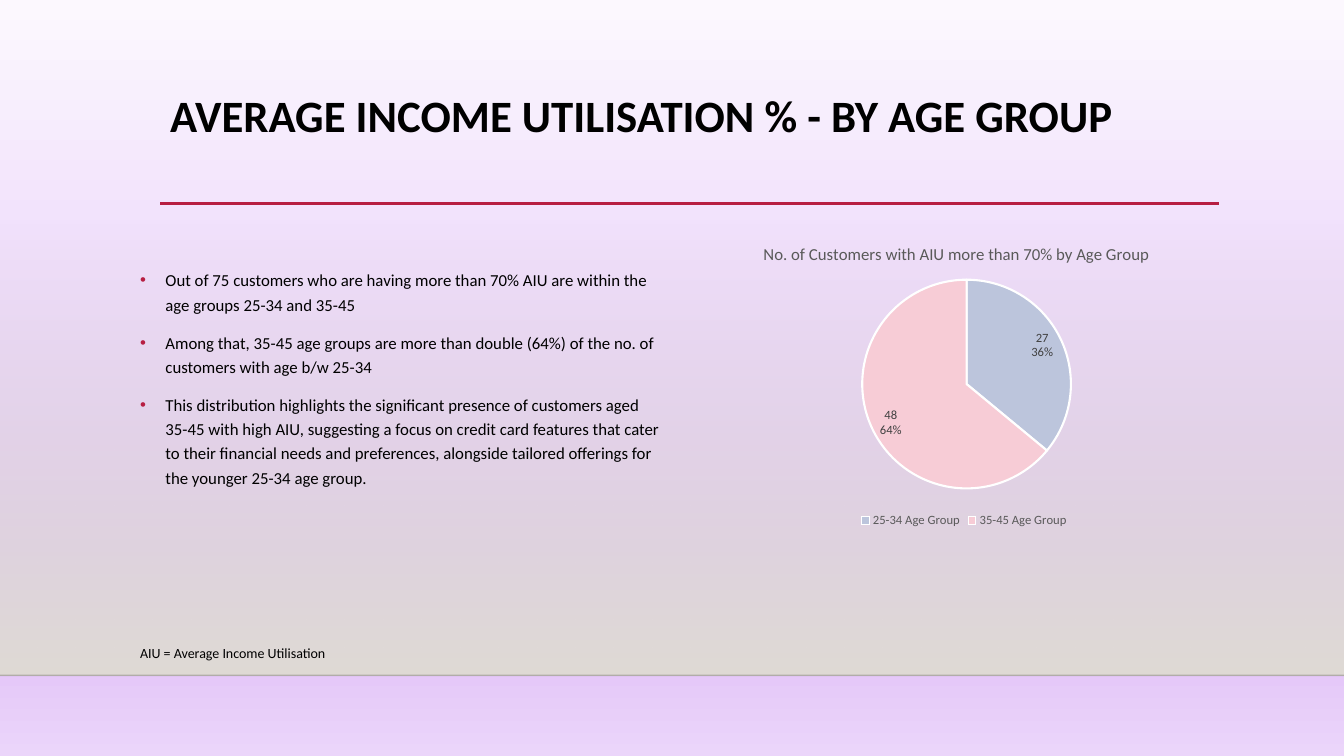
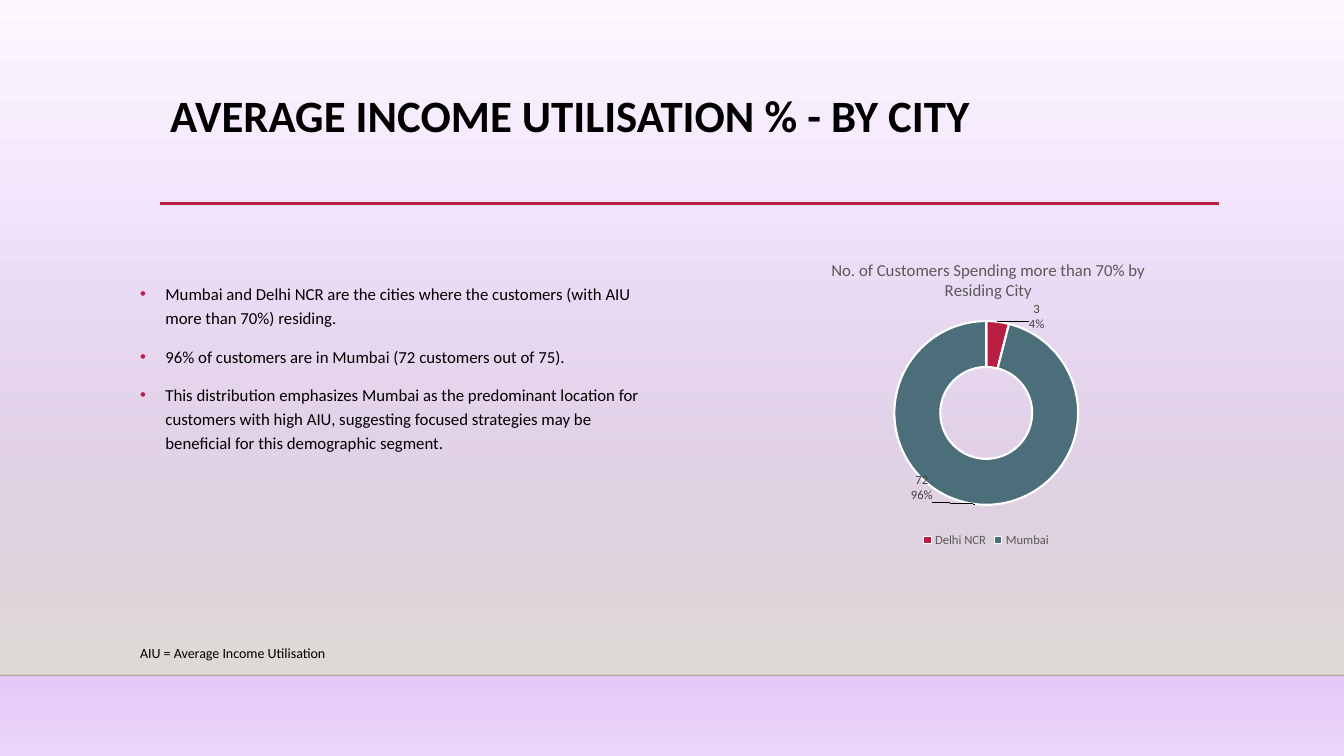
from copy import deepcopy

from lxml.etree import SubElement
from pptx import Presentation
from pptx.chart.data import CategoryChartData
from pptx.dml.color import RGBColor
from pptx.enum.chart import XL_CHART_TYPE, XL_LABEL_POSITION, XL_LEGEND_POSITION
from pptx.enum.shapes import MSO_CONNECTOR, MSO_SHAPE
from pptx.oxml import parse_xml
from pptx.oxml.ns import nsdecls, qn
from pptx.util import Cm, Pt

FONT = "Calibri"
BLACK, WHITE = "000000", "FFFFFF"
ACCENT, SAND = "B71E42", "DFDBD5"
TITLE_GREY, LABEL_GREY = "595959", "404040"
SKY = [(0, "FCF8FE", 100), (74, "E1C0F8", 100), (83, "E1C0F8", 100), (100, "EBD5FA", 100)]
HAZE = [(0, SAND, 0), (100, SAND, 100)]
WIDTH, HEIGHT, FLOOR = 33.87, 19.05, 17.02
LEFT, RIGHT, TEXT_LEFT = 4.04, 30.73, 3.28


def color(value):
    return RGBColor.from_string(value)


def set_alpha(parent, percent):
    SubElement(next(parent.iter(qn("a:srgbClr"))), qn("a:alpha")).set("val", str(percent * 1000))


def set_gradient(fill, element, stops):
    fill.gradient()
    fill.gradient_angle = 270
    stop_list = next(element.iter(qn("a:gsLst")))
    for old_stop in list(stop_list):
        stop_list.remove(old_stop)
    for position, value, alpha in stops:
        stop = SubElement(stop_list, qn("a:gs"), pos=str(position * 1000))
        SubElement(stop, qn("a:srgbClr"), val=value)
        set_alpha(stop, alpha)


def set_font(font, size, value, bold=False):
    font.name, font.size, font.bold = FONT, Pt(size), bold
    font.color.rgb = color(value)


def set_layout(parent, index, **values):
    old_layout = parent.find(qn("c:layout"))
    if old_layout is not None:
        parent.remove(old_layout)
    layout = parse_xml(f"<c:layout {nsdecls('c')}><c:manualLayout/></c:layout>")
    for name, value in values.items():
        SubElement(layout[0], qn(f"c:{name}"), val=str(value))
    parent.insert(index, layout)


class Deck:
    """Hold the shared style and the slide being filled."""

    def __init__(self):
        self.presentation = Presentation()
        self.presentation.slide_width = Cm(WIDTH)
        self.presentation.slide_height = Cm(HEIGHT)
        self.slide = None

    def add_slide(self, title):
        self.slide = self.presentation.slides.add_slide(self.presentation.slide_layouts[6])
        set_gradient(self.slide.background.fill, self.slide.element, SKY)
        band = self.slide.shapes.add_shape(
            MSO_SHAPE.RECTANGLE, 0, Cm(5.61), Cm(WIDTH), Cm(FLOOR - 5.61))
        band.shadow.inherit = False
        band.line.fill.background()
        set_gradient(band.fill, band.element, HAZE)
        floor = self.add_line(0, WIDTH, FLOOR, "000001", 1)
        set_alpha(floor.element.spPr, 20)
        self.add_line(LEFT, RIGHT, 5.13, ACCENT, 2.5)
        self.add_text([title], LEFT, 2.24, 26.67, 2.92, 32, 0.9, 0, bold=True)
        self.add_text(["AIU = Average Income Utilisation"], TEXT_LEFT, 16.08, 6.4, 0.71, 10, 1.1, 10)

    def add_line(self, left, right, top, value, width):
        line = self.slide.shapes.add_connector(
            MSO_CONNECTOR.STRAIGHT, Cm(left), Cm(top), Cm(right), Cm(top))
        line.line.color.rgb = color(value)
        line.line.width = Pt(width)
        SubElement(line.element.spPr, qn("a:effectLst"))
        return line

    def add_text(self, texts, left, top, width, height, size, spacing, before, bold=False):
        shape = self.slide.shapes.add_textbox(Cm(left), Cm(top), Cm(width), Cm(height))
        frame = shape.text_frame
        frame.word_wrap = True
        frame.text = "\n".join(texts)
        for paragraph in frame.paragraphs:
            paragraph.line_spacing = spacing
            paragraph.space_before = Pt(before)
            set_font(paragraph.font, size, BLACK, bold)
        return frame

    def add_bullets(self, texts, top, height):
        frame = self.add_text(texts, TEXT_LEFT, top, 13.64, height, 12, 1.2, 10)
        for paragraph in frame.paragraphs:
            properties = paragraph.font._element.getparent()
            properties.set("marL", str(Cm(0.64)))
            properties.set("indent", str(Cm(-0.64)))
            bullet_parts = parse_xml(
                f'<a:pPr {nsdecls("a")}><a:buClr><a:srgbClr val="{ACCENT}"/></a:buClr>'
                '<a:buFont typeface="Arial"/><a:buChar char="•"/></a:pPr>')
            for part in list(bullet_parts):
                paragraph.font._element.addprevious(part)

    def add_chart(self, kind, title, values, fills, box, title_at, plot_box):
        data = CategoryChartData()
        data.categories = list(values)
        data.add_series("Series 1", list(values.values()))
        chart = self.slide.shapes.add_chart(kind, *map(Cm, box), data).chart
        set_font(chart.font, 10, BLACK)
        chart.has_title = True
        chart.chart_title.text_frame.text = title
        set_font(chart.chart_title.text_frame.paragraphs[0].font, 12, TITLE_GREY)
        title_x, title_y = title_at
        set_layout(chart.chart_title._element, 1, xMode="edge", yMode="edge", x=title_x, y=title_y)
        plot_x, plot_y, plot_width, plot_height = plot_box
        set_layout(next(chart.element.iter(qn("c:plotArea"))), 0, layoutTarget="inner",
                   xMode="edge", yMode="edge", x=plot_x, y=plot_y, w=plot_width, h=plot_height)
        chart.has_legend = True
        chart.legend.position = XL_LEGEND_POSITION.BOTTOM
        chart.legend.include_in_layout = False
        set_font(chart.legend.font, 9, TITLE_GREY)
        chart.plots[0].vary_by_categories = True
        series = chart.plots[0].series[0]
        for index, value in enumerate(fills):
            point = series.points[index].format
            point.fill.solid()
            point.fill.fore_color.rgb = color(value)
            point.line.color.rgb = color(WHITE)
            point.line.width = Pt(1.5)
        labels = series.data_labels
        labels.show_value = labels.show_percentage = True
        set_font(labels.font, 9, LABEL_GREY)
        separator = parse_xml(f"<c:separator {nsdecls('c')}>\n</c:separator>")
        labels._element.find(qn("c:showBubbleSize")).addnext(separator)
        return chart

    def shift_labels(self, chart, offsets):
        labels = chart.plots[0].series[0].data_labels._element
        shared = [part for part in labels if part.tag != qn("c:showLeaderLines")]
        for index, (x, y) in enumerate(offsets):
            label = parse_xml(f'<c:dLbl {nsdecls("c")}><c:idx val="{index}"/></c:dLbl>')
            set_layout(label, 1, x=x, y=y)
            label.extend(deepcopy(part) for part in shared)
            labels.insert(index, label)


def main():
    deck = Deck()

    deck.add_slide("AVERAGE INCOME UTILISATION % - BY AGE GROUP")
    deck.add_bullets([
        "Out of 75 customers who are having more than 70% AIU are within the age groups 25-34 and 35-45",
        "Among that, 35-45 age groups are more than double (64%) of the no. of customers with age b/w 25-34",
        "This distribution highlights the significant presence of customers aged 35-45 with high AIU, "
        "suggesting a focus on credit card features that cater to their financial needs and preferences, "
        "alongside tailored offerings for the younger 25-34 age group.",
    ], 6.58, 5.87)
    age_chart = deck.add_chart(
        XL_CHART_TYPE.PIE, "No. of Customers with AIU more than 70% by Age Group",
        {"25-34 Age Group": 27, "35-45 Age Group": 48}, ["BCC5DC", "F7CCD6"],
        (17.88, 5.64, 12.83, 7.77), (0.1, 0.05), (0.3, 0.18, 0.41, 0.68))
    age_chart.plots[0].series[0].data_labels.position = XL_LABEL_POSITION.BEST_FIT

    deck.add_slide("AVERAGE INCOME UTILISATION % - BY CITY")
    deck.add_bullets([
        "Mumbai and Delhi NCR are the cities where the customers (with AIU more than 70%) residing.",
        "96% of customers are in Mumbai (72 customers out of 75).",
        "This distribution emphasizes Mumbai as the predominant location for customers with high AIU, "
        "suggesting focused strategies may be beneficial for this demographic segment.",
    ], 6.93, 5.18)
    city_chart = deck.add_chart(
        XL_CHART_TYPE.DOUGHNUT, "No. of Customers Spending more than 70% by Residing City",
        {"Delhi NCR": 3, "Mumbai": 72}, [ACCENT, "4C6E7A"],
        (19, 6.05, 11.71, 7.85), (0.16, 0.05), (0.3, 0.26, 0.4, 0.59))
    next(city_chart.element.iter(qn("c:holeSize"))).set("val", "75")
    deck.shift_labels(city_chart, [(0.09, -0.09), (-0.12, 0.02)])

    deck.presentation.save("out.pptx")


if __name__ == "__main__":
    main()
